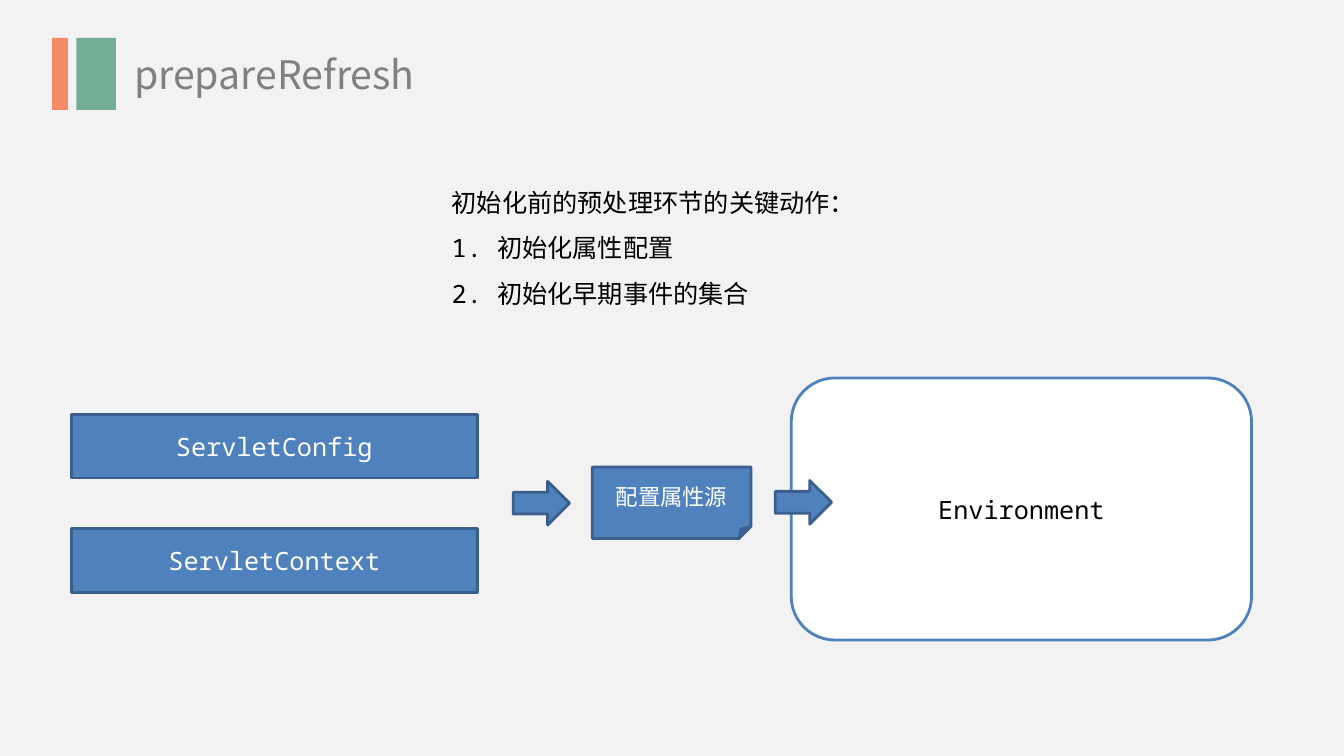
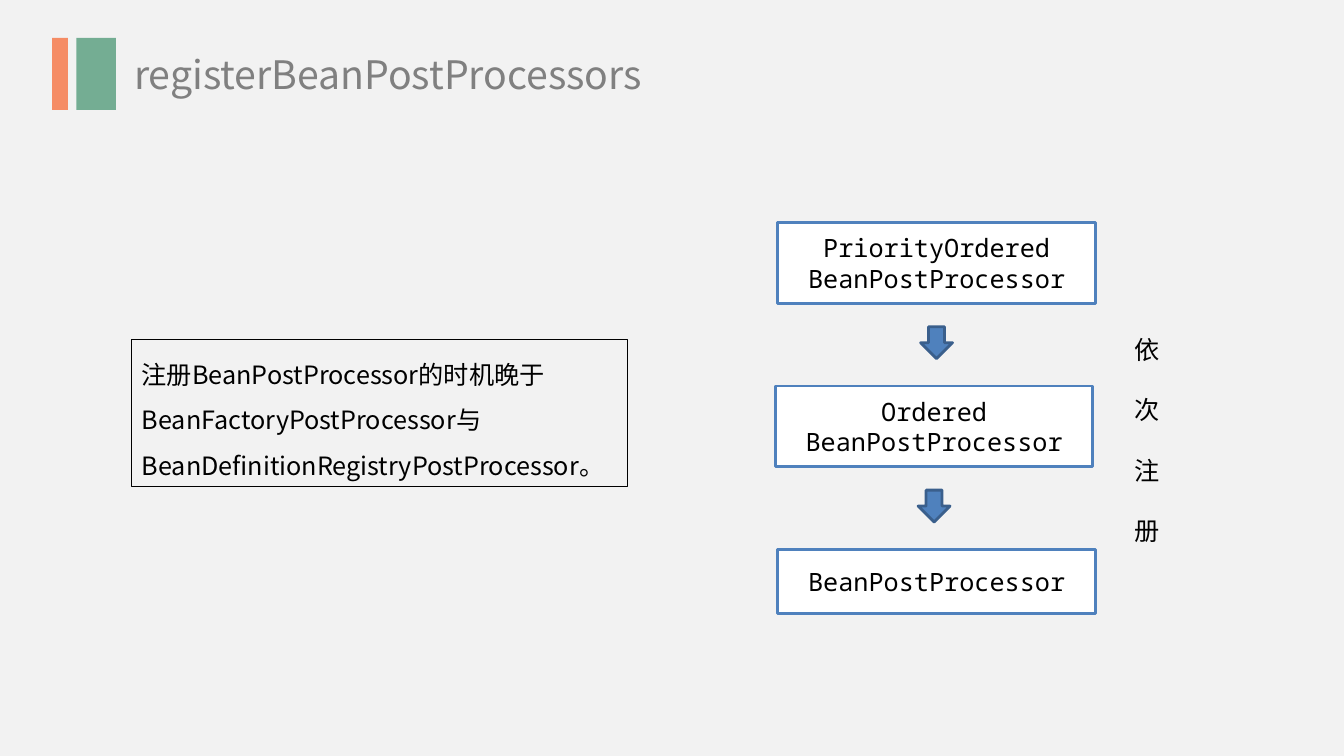
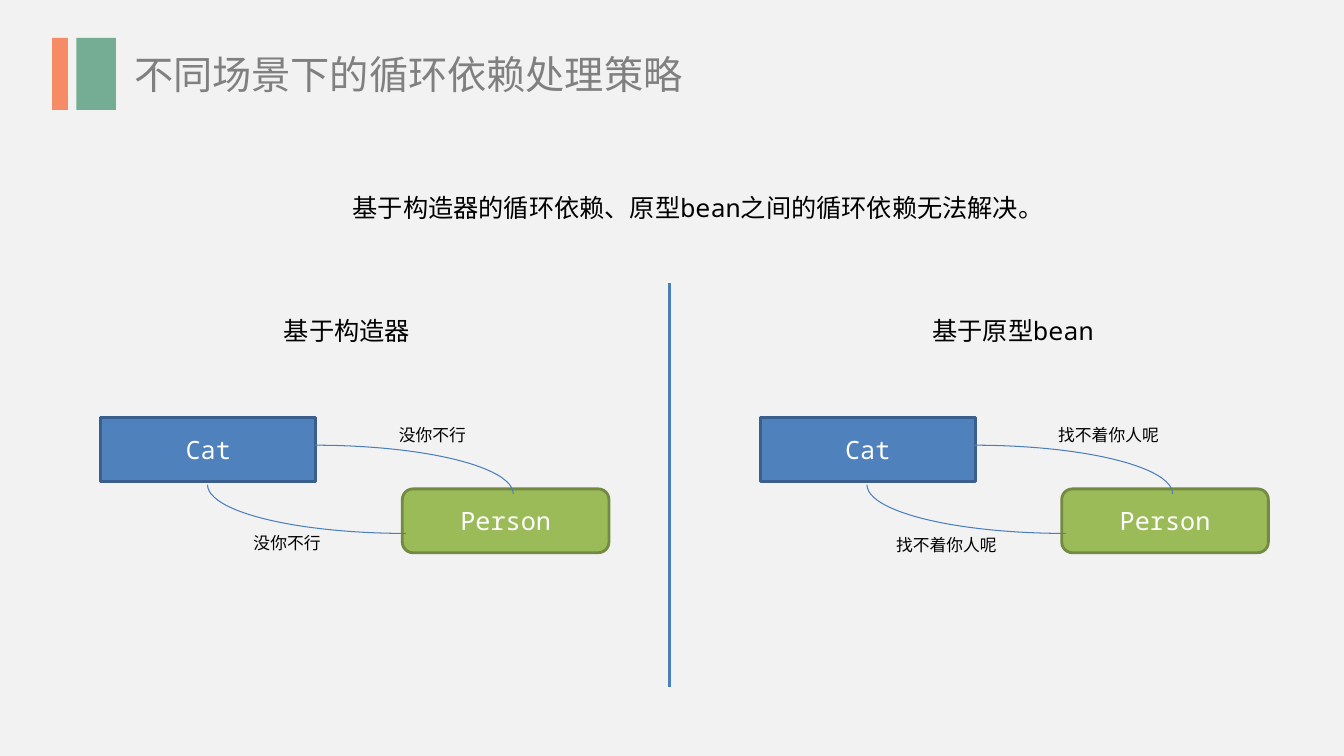
import pptx
import pptx.util
import pptx.dml.color
import pptx.enum.shapes
import pptx.enum.text
import pptx.oxml
import pptx.oxml.ns

RGBColor = pptx.dml.color.RGBColor
SHAPE = pptx.enum.shapes.MSO_SHAPE
ALIGN = pptx.enum.text.PP_ALIGN
ANCHOR = pptx.enum.text.MSO_ANCHOR
FIT = pptx.enum.text.MSO_AUTO_SIZE
Pt = pptx.util.Pt

# Shared style
PAPER = RGBColor(0xF2, 0xF2, 0xF2)
ORANGE = RGBColor(0xF5, 0x8C, 0x65)
TEAL = RGBColor(0x74, 0xAD, 0x93)
GREY = RGBColor(0x80, 0x80, 0x80)
BLACK = RGBColor(0, 0, 0)
WHITE = RGBColor(0xFF, 0xFF, 0xFF)
BLUE = RGBColor(0x4F, 0x81, 0xBD)
DARK_BLUE = RGBColor(0x3A, 0x5F, 0x8C)
LINE_BLUE = RGBColor(0x4B, 0x7E, 0xBC)
GREEN = RGBColor(0x9B, 0xBB, 0x59)
DARK_GREEN = RGBColor(0x73, 0x8A, 0x42)
SANS = "Noto Sans CJK SC"
MONO = "Noto Sans Mono"

# Grid of square cells
COLUMNS, ROWS = 160, 90


def write(tf, text, size=18, font=MONO, color=BLACK, align=ALIGN.LEFT, spacing=None):
    """Newlines start paragraphs; vertical tabs break lines."""
    for i, part in enumerate(text.split("\n")):
        p = tf.add_paragraph() if i else tf.paragraphs[0]
        p.text = part
        p.alignment = align
        if spacing:
            p.line_spacing = spacing
        for r in p.runs:
            r.font.size = Pt(size)
            r.font.name = font
            r.font.color.rgb = color
            ea = pptx.oxml.parse_xml(
                f'<a:ea {pptx.oxml.ns.nsdecls("a")} typeface="{font}"/>')
            r._r.get_or_add_rPr().append(ea)


class Deck:
    def __init__(self):
        self.prs = pptx.Presentation()
        self.prs.slide_width = pptx.util.Inches(13.33)
        self.prs.slide_height = pptx.util.Inches(7.5)
        fill = self.prs.slide_master.background.fill
        fill.solid()
        fill.fore_color.rgb = PAPER
        self.s = None

    def cells(self, x, y, w, h):
        col = self.prs.slide_width / COLUMNS
        row = self.prs.slide_height / ROWS
        return int(x * col), int(y * row), int(w * col), int(h * row)

    def slide(self, title, width):
        self.s = self.prs.slides.add_slide(self.prs.slide_layouts[6])
        self.text(title, 14.8, 5.4, width, 6.8, wrap=False,
                  size=28, font=SANS, color=GREY)
        marker = self.s.shapes.add_group_shape()
        self.shape(SHAPE.RECTANGLE, 6.2, 4.5, 1.9, 8.6, ORANGE, parent=marker)
        self.shape(SHAPE.RECTANGLE, 9.1, 4.5, 4.7, 8.6, TEAL, parent=marker)

    def shape(self, kind, x, y, w, h, fill=None, line=None, weight=2,
              text="", parent=None, **style):
        sp = (parent or self.s).shapes.add_shape(kind, *self.cells(x, y, w, h))
        sp.shadow.inherit = False
        if fill is None:
            sp.fill.background()
        else:
            sp.fill.solid()
            sp.fill.fore_color.rgb = fill
        if line is None:
            sp.line.fill.background()
        else:
            sp.line.color.rgb = line
            sp.line.width = Pt(weight)
        if text:
            tf = sp.text_frame
            tf.word_wrap = True
            tf.vertical_anchor = ANCHOR.MIDDLE
            write(tf, text, align=ALIGN.CENTER, **style)
        return sp

    def solid(self, text, x, y, w, h, kind=SHAPE.RECTANGLE, fill=BLUE,
              line=DARK_BLUE, size=18):
        self.shape(kind, x, y, w, h, fill, line, text=text, size=size, color=WHITE)

    def outlined(self, text, x, y, w, h, kind=SHAPE.RECTANGLE):
        self.shape(kind, x, y, w, h, WHITE, BLUE, text=text)

    def arrow(self, kind, x, y, w, h):
        self.shape(kind, x, y, w, h, BLUE, DARK_BLUE)

    def arc(self, x, y, w, h, rotation=0):
        sp = self.shape(SHAPE.ARC, x, y, w, h, line=LINE_BLUE, weight=0.75)
        sp.rotation = rotation

    def text(self, text, x, y, w, h, wrap=True, border=None, **style):
        sp = self.s.shapes.add_textbox(*self.cells(x, y, w, h))
        tf = sp.text_frame
        tf.word_wrap = wrap
        tf.auto_size = FIT.SHAPE_TO_FIT_TEXT
        if border is not None:
            sp.line.color.rgb = border
            sp.line.width = Pt(0.75)
        write(tf, text, **style)

    def divider(self, x, y, h):
        left, top, _, height = self.cells(x, y, 0, h)
        c = self.s.shapes.add_connector(pptx.enum.shapes.MSO_CONNECTOR.STRAIGHT,
                                        left, top, left, top + height)
        c.line.color.rgb = LINE_BLUE
        c.line.width = Pt(2.25)
        c._element.spPr.append(pptx.oxml.parse_xml(
            f'<a:effectLst {pptx.oxml.ns.nsdecls("a")}/>'))


deck = Deck()

# Slide 1: property sources feed the environment
deck.slide("prepareRefresh", 36.6)
deck.text("初始化前的预处理环节的关键动作：\v1. 初始化属性配置\n2. 初始化早期事件的集合",
          52.6, 19.9, 51.7, 17.5, spacing=1.5)
deck.outlined("Environment", 94.2, 45, 54.8, 31.2, SHAPE.ROUNDED_RECTANGLE)
for i, name in enumerate(("ServletConfig", "ServletContext")):
    deck.solid(name, 8.5, 49.3 + 13.6 * i, 48.3, 7.6)
deck.arrow(SHAPE.RIGHT_ARROW, 61.1, 57.3, 6.7, 5.2)
deck.solid("配置属性源", 70.5, 55.6, 18.9, 8.5, SHAPE.FOLDED_CORNER, size=16)
deck.arrow(SHAPE.RIGHT_ARROW, 92.3, 57.2, 6.7, 5.2)

# Slide 2: registration order
deck.slide("registerBeanPostProcessors", 64.3)
steps = (("PriorityOrdered\nBeanPostProcessor", 92.6, 9.6),
         ("Ordered\nBeanPostProcessor", 92.3, 9.6),
         ("BeanPostProcessor", 92.6, 7.6))
for i, (name, x, h) in enumerate(steps):
    y = 26.5 + 19.45 * i
    deck.outlined(name, x, y, 37.8, h)
    if i < len(steps) - 1:
        deck.arrow(SHAPE.DOWN_ARROW, x + 17, y + 12.4, 3.8, 3.8)
deck.text("依次注册", 133.9, 35.6, 4.7, 30.2, spacing=2)
deck.text("注册BeanPostProcessor的时机晚于\nBeanFactoryPostProcessor与\n"
          "BeanDefinitionRegistryPostProcessor。",
          15.7, 40.4, 59, 17.5, wrap=False, border=BLACK, font=SANS, spacing=1.5)

# Slide 3: two kinds of circular dependency
deck.slide("不同场景下的循环依赖处理策略", 68.4)
deck.text("基于构造器的循环依赖、原型bean之间的循环依赖无法解决。",
          39.4, 22.3, 84.4, 4.8, align=ALIGN.CENTER)
deck.divider(79.7, 33.7, 48.1)
# Offset, heading and its left edge, label, label width, lower label place
cases = ((0, "基于构造器", 26.2, "没你不行", 11, 29, 62.8),
         (78.5, "基于原型bean", 105.5, "找不着你人呢", 14.8, 105.5, 63.1))
for dx, heading, head_x, label, label_w, low_x, low_y in cases:
    deck.solid("Cat", 12 + dx, 49.7, 25.6, 7.6)
    deck.solid("Person", 47.9 + dx, 58.2, 24.6, 7.6,
               SHAPE.ROUNDED_RECTANGLE, GREEN, DARK_GREEN)
    deck.arc(13.8 + dx, 53, 47.3, 11.6)
    deck.arc(24.7 + dx, 51.9, 47.3, 11.6, rotation=180)
    deck.text(label, 46.3 + dx, 50, label_w, 3.6, size=12)
    deck.text(label, low_x, low_y, label_w, 3.6, size=12)
    deck.text(heading, head_x, 36.9, 30.2, 4.8, align=ALIGN.CENTER)

deck.prs.save("out.pptx")
